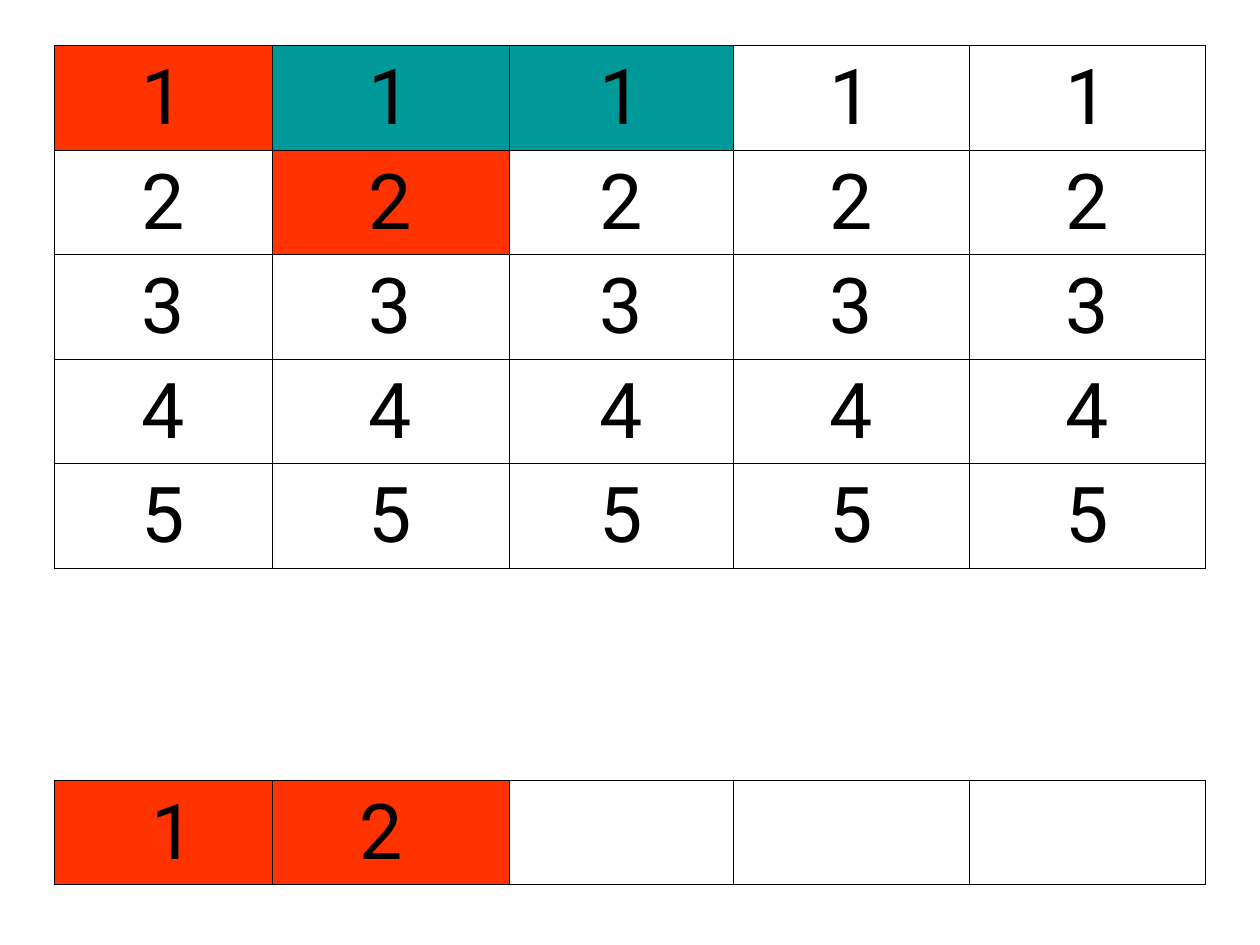
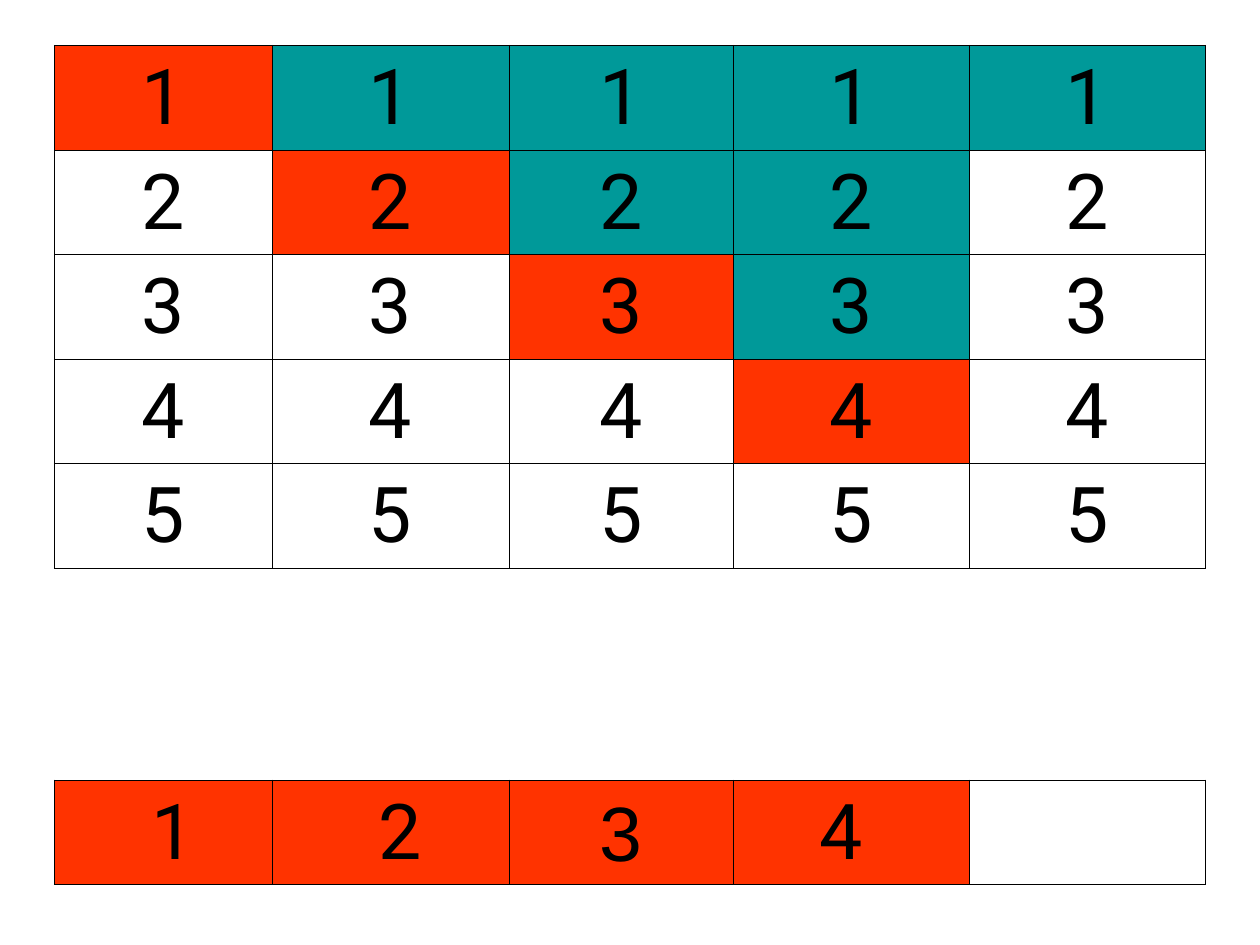
import pptx
import pptx.dml.color
import pptx.enum.text
import pptx.oxml.ns
import pptx.util
from lxml import etree

RED, TEAL, BLACK = "FF3300", "009999", "000000"
COLUMN_WIDTHS = [1.73, 1.88, 1.78, 1.87, 1.88]
ROW_HEIGHT, GAP_HEIGHT = 0.83, 1.68
SIZE = len(COLUMN_WIDTHS)
GAP_ROW, RESULT_ROW = SIZE, SIZE + 1
LEFT, TOP = 0.43, 0.36
BORDER_WIDTH = 0.45

# placed: value shown under each filled column, with its font
# tried: how many values from the top were rejected in each column
steps = [
    {"placed": [(" 1", "Roboto"), ("2 ", "Roboto")],
     "tried": [0, 1, 1, 0, 0]},
    {"placed": [(" 1", "Roboto"), (" 2", "Roboto"), ("3", "Arial"), ("4 ", "Roboto")],
     "tried": [0, 1, 2, 3, 1]},
]


def write(cell, text, font="Roboto", size=44, color=BLACK):
    paragraph = cell.text_frame.paragraphs[0]
    paragraph.alignment = pptx.enum.text.PP_ALIGN.CENTER
    run = paragraph.add_run()
    run.text = text
    run.font.name = font
    run.font.size = pptx.util.Pt(size)
    run.font.color.rgb = pptx.dml.color.RGBColor.from_string(color)


def style_cell(cell, fill, sides):
    """Rule the named sides (of L, R, T, B), then fill the cell or leave it clear."""
    qn = pptx.oxml.ns.qn
    properties = cell._tc.get_or_add_tcPr()
    for side in "LRTB":
        line = etree.SubElement(properties, qn("a:ln" + side),
                                w=str(pptx.util.Pt(BORDER_WIDTH)))
        if side in sides:
            solid = etree.SubElement(line, qn("a:solidFill"))
            etree.SubElement(solid, qn("a:srgbClr"), val=BLACK)
        else:
            etree.SubElement(line, qn("a:noFill"))
    if fill:
        cell.fill.solid()
        cell.fill.fore_color.rgb = pptx.dml.color.RGBColor.from_string(fill)
    else:
        cell.fill.background()
    cell.vertical_anchor = pptx.enum.text.MSO_ANCHOR.BOTTOM


deck = pptx.Presentation()
deck.slide_width = pptx.util.Inches(10)
deck.slide_height = pptx.util.Inches(7.5)

row_heights = [ROW_HEIGHT] * SIZE + [GAP_HEIGHT, ROW_HEIGHT]

for step in steps:
    slide = deck.slides.add_slide(deck.slide_layouts[6])
    board = slide.shapes.add_table(
        len(row_heights), SIZE,
        pptx.util.Inches(LEFT), pptx.util.Inches(TOP),
        pptx.util.Inches(sum(COLUMN_WIDTHS)), pptx.util.Inches(sum(row_heights))).table
    board.first_row = False
    board.horz_banding = False
    for column, width in zip(board.columns, COLUMN_WIDTHS):
        column.width = pptx.util.Inches(width)
    for row, height in zip(board.rows, row_heights):
        row.height = pptx.util.Inches(height)

    placed_count = len(step["placed"])
    for row in range(len(row_heights)):
        for column in range(SIZE):
            cell = board.cell(row, column)
            is_placed = column < placed_count and row in (column, RESULT_ROW)
            is_tried = row < step["tried"][column]
            fill = RED if is_placed else TEAL if is_tried else None
            style_cell(cell, fill, "TB" if row == GAP_ROW else "LRTB")
            if row < SIZE:
                write(cell, str(row + 1))
            elif is_placed:
                value, font = step["placed"][column]
                write(cell, value, font=font)

deck.save("out.pptx")
